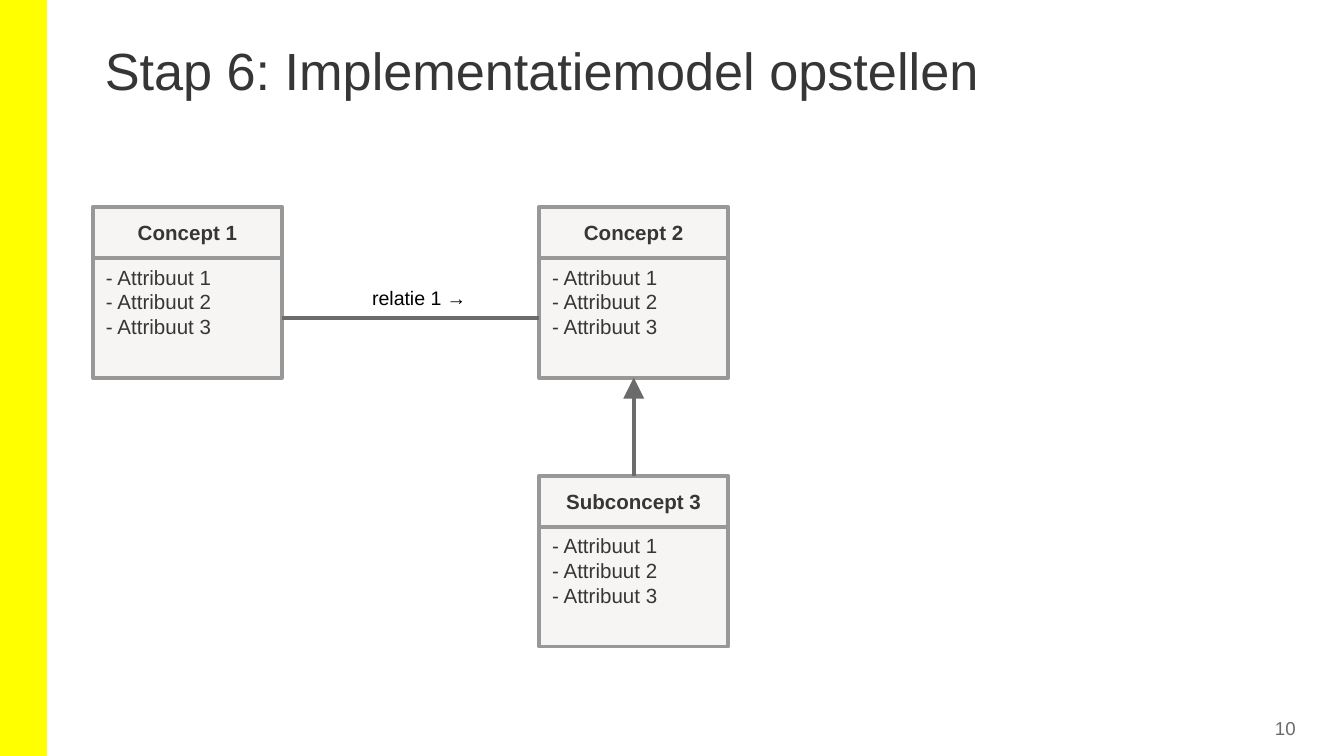
"""Build the slide that shows an implementation model of concepts and relations."""
from lxml.etree import SubElement
from pptx import Presentation
from pptx.dml.color import RGBColor
from pptx.enum.shapes import MSO_CONNECTOR, MSO_SHAPE
from pptx.enum.text import MSO_ANCHOR, PP_ALIGN
from pptx.oxml.ns import qn
from pptx.util import Inches, Pt

COLORS = {
    "accent": "FFFF00",
    "box": "F6F5F3",
    "border": "989898",
    "text": "373636",
    "muted": "6B6B6B",
    "label": "000000",
}


def write(shape, text, size, color, bold=False, align=PP_ALIGN.LEFT,
          anchor=MSO_ANCHOR.TOP, margins=(0.1, 0.05), spacing=None):
    frame = shape.text_frame
    frame.text = text
    frame_format = {
        "word_wrap": True,
        "vertical_anchor": anchor,
        "margin_left": Inches(margins[0]),
        "margin_right": Inches(margins[0]),
        "margin_top": Inches(margins[1]),
        "margin_bottom": Inches(margins[1]),
    }
    for name, value in frame_format.items():
        setattr(frame, name, value)
    font_format = {"name": "Arial", "size": Pt(size), "bold": bold}
    for paragraph in frame.paragraphs:
        paragraph.alignment = align
        paragraph.line_spacing = spacing
        for run in paragraph.runs:
            for name, value in font_format.items():
                setattr(run.font, name, value)
            run.font.color.rgb = RGBColor.from_string(COLORS[color])


def add_rectangle(shapes, left, top, width, height, fill, border=None):
    rectangle = shapes.add_shape(MSO_SHAPE.RECTANGLE, Inches(left), Inches(top),
                                 Inches(width), Inches(height))
    rectangle.shadow.inherit = False
    rectangle.fill.solid()
    rectangle.fill.fore_color.rgb = RGBColor.from_string(COLORS[fill])
    if border:
        rectangle.line.color.rgb = RGBColor.from_string(COLORS[border])
        rectangle.line.width = Pt(2)
    else:
        rectangle.line.fill.background()
    return rectangle


presentation = Presentation()
presentation.slide_width = Inches(10)
presentation.slide_height = Inches(10 * 9 / 16)
slide = presentation.slides.add_slide(presentation.slide_layouts[5])

add_rectangle(slide.shapes, 0, 0, 0.35, 10 * 9 / 16, "accent")

title = slide.shapes.title
title_format = {"left": 0.69, "top": 0.3, "width": 8.62, "height": 0.81}
for name, value in title_format.items():
    setattr(title, name, Inches(value))
write(title, "Stap 6: Implementatiemodel opstellen", 28, "text",
      margins=(0.09, 0.04), spacing=0.9)

page_number = slide.shapes.add_textbox(Inches(8.93), Inches(5.31), Inches(0.75), Inches(0.21))
write(page_number, "10", 10, "muted", align=PP_ALIGN.RIGHT,
      anchor=MSO_ANCHOR.MIDDLE, margins=(0.04, 0.04))

box_width, header_height, body_height = 1.41, 0.38, 0.89
attributes = "- Attribuut 1\n- Attribuut 2\v- Attribuut 3"
concepts = [("Concept 1", 0.69, 1.54), ("Concept 2", 4.01, 1.54), ("Subconcept 3", 4.01, 3.54)]
headers, bodies = {}, {}
for concept, left, top in concepts:
    group = slide.shapes.add_group_shape()
    group.name = concept
    bodies[concept] = add_rectangle(group.shapes, left, top + header_height,
                                    box_width, body_height, "box", "border")
    write(bodies[concept], attributes, 11, "text")
    headers[concept] = add_rectangle(group.shapes, left, top,
                                     box_width, header_height, "box", "border")
    write(headers[concept], concept, 11, "text", bold=True,
          align=PP_ALIGN.CENTER, anchor=MSO_ANCHOR.MIDDLE)

relation_label = slide.shapes.add_textbox(Inches(2.54), Inches(2.08), Inches(1.16), Inches(0.29))
write(relation_label, "relatie 1 →", 10.5, "label", align=PP_ALIGN.CENTER)

relations = [
    (bodies["Concept 1"], 3, bodies["Concept 2"], 1, False),
    (headers["Subconcept 3"], 0, bodies["Concept 2"], 2, True),
]
for source, source_side, target, target_side, has_arrow in relations:
    connector = slide.shapes.add_connector(MSO_CONNECTOR.STRAIGHT, 0, 0, 0, 0)
    connector.begin_connect(source, source_side)
    connector.end_connect(target, target_side)
    connector.line.color.rgb = RGBColor.from_string(COLORS["muted"])
    connector.line.width = Pt(2.25)
    if has_arrow:
        SubElement(connector.line._get_or_add_ln(), qn("a:tailEnd"),
                   type="triangle", w="lg", len="lg")
    SubElement(connector._element.spPr, qn("a:effectLst"))

presentation.save("out.pptx")
